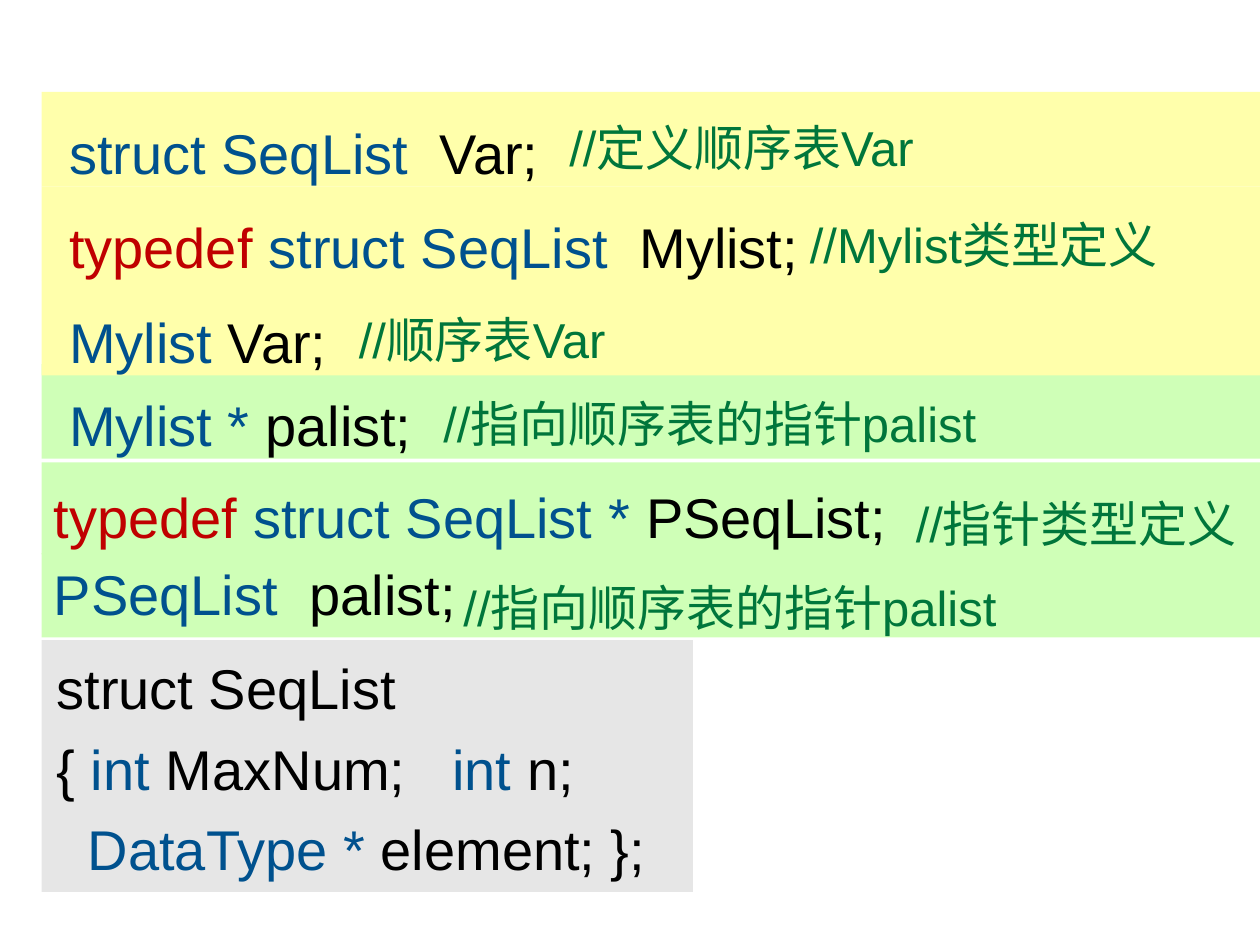
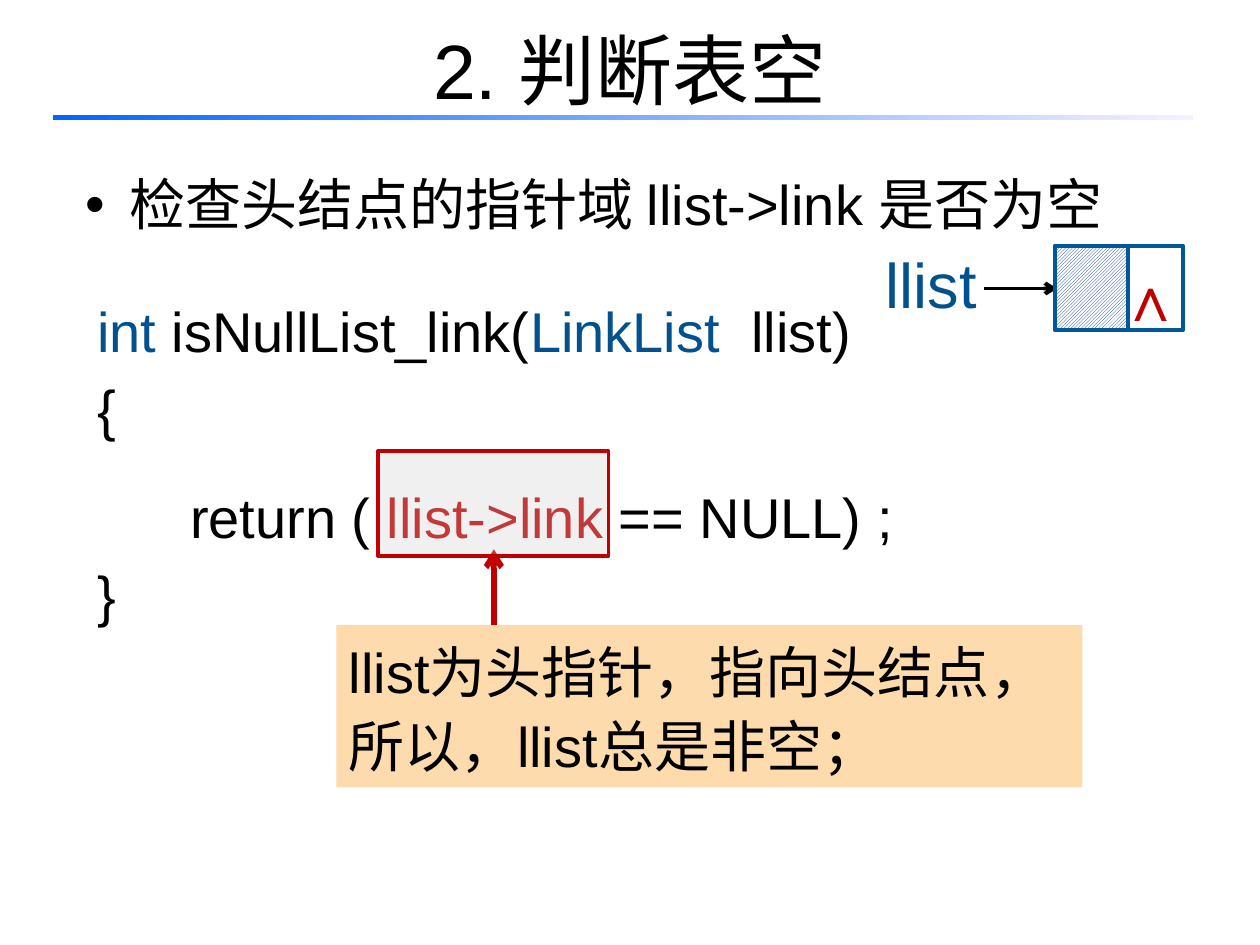
"""Build two slides on sequential list types and the empty check of a linked list."""
from dataclasses import dataclass

from lxml import etree
from pptx import Presentation
from pptx.dml.color import RGBColor
from pptx.enum.dml import MSO_PATTERN
from pptx.enum.shapes import MSO_CONNECTOR, MSO_SHAPE
from pptx.enum.text import MSO_ANCHOR, MSO_AUTO_SIZE, PP_ALIGN
from pptx.oxml.ns import qn
from pptx.util import Inches, Pt

RECTANGLE = MSO_SHAPE.RECTANGLE
STRAIGHT = MSO_CONNECTOR.STRAIGHT
HATCH = MSO_PATTERN.LIGHT_UPWARD_DIAGONAL
TOP, MIDDLE = MSO_ANCHOR.TOP, MSO_ANCHOR.MIDDLE
LEFT, CENTER = PP_ALIGN.LEFT, PP_ALIGN.CENTER
FIXED_SIZE = MSO_AUTO_SIZE.NONE


@dataclass(frozen=True)
class Theme:
    font: str = "Arial"
    title_size: int = 44
    label_size: int = 36
    code_size: int = 32
    comment_size: int = 28
    black: RGBColor = RGBColor.from_string("000000")
    white: RGBColor = RGBColor.from_string("FFFFFF")
    blue: RGBColor = RGBColor.from_string("00518E")
    red: RGBColor = RGBColor.from_string("C00000")
    green: RGBColor = RGBColor.from_string("00763B")
    yellow_band: RGBColor = RGBColor.from_string("FFFFAB")
    green_band: RGBColor = RGBColor.from_string("CFFFB7")
    gray_band: RGBColor = RGBColor.from_string("E6E6E6")
    note: RGBColor = RGBColor.from_string("FEDBAC")
    highlight: RGBColor = RGBColor.from_string("CCCCCC")
    node_line: RGBColor = RGBColor.from_string("00589A")
    hatch: RGBColor = RGBColor.from_string("003399")
    rule_start: RGBColor = RGBColor.from_string("0066FF")
    rule_end: RGBColor = RGBColor.from_string("F7EFFF")


theme = Theme()
black, blue, red = theme.black, theme.blue, theme.red


def write_text(shape, paragraphs, size=theme.code_size, spacing=1.0, before=0, indent=0,
               hanging=0, bullet=None, align=LEFT, anchor=TOP, wrap=True, bold=False,
               margins=(0.1, 0.05, 0.1, 0.05)):
    """Fill a shape with paragraphs, each a list of (text, colour) runs."""
    frame = shape.text_frame
    frame.auto_size = FIXED_SIZE
    frame.word_wrap = wrap
    frame.vertical_anchor = anchor
    (frame.margin_left, frame.margin_top,
     frame.margin_right, frame.margin_bottom) = map(Inches, margins)
    for index, runs in enumerate(paragraphs):
        paragraph = frame.add_paragraph() if index else frame.paragraphs[0]
        properties = paragraph._p.get_or_add_pPr()
        properties.set("marL", str(Inches(indent)))
        properties.set("indent", str(Inches(-hanging)))
        if bullet:
            etree.SubElement(properties, qn("a:buFont")).set("typeface", theme.font)
            etree.SubElement(properties, qn("a:buChar")).set("char", bullet)
        else:
            etree.SubElement(properties, qn("a:buNone"))
        paragraph.alignment = align
        paragraph.line_spacing = spacing
        paragraph.space_before = Pt(before if index else 0)
        for text, color in runs:
            run = paragraph.add_run()
            run.text = text
            run.font.name = theme.font
            run.font.size = Pt(size)
            run.font.bold = bold
            run.font.color.rgb = color


def add_rectangle(slide, place, fill=None, line=None):
    """Add a flat rectangle with an optional fill and outline colour."""
    shape = slide.shapes.add_shape(RECTANGLE, *map(Inches, place))
    shape.shadow.inherit = False
    if fill is None:
        shape.fill.background()
    else:
        shape.fill.solid()
        shape.fill.fore_color.rgb = fill
    if line is None:
        shape.line.fill.background()
    else:
        shape.line.color.rgb = line
        shape.line.width = Pt(2.25)
    return shape


presentation = Presentation()
presentation.slide_width, presentation.slide_height = Inches(10), Inches(7.5)
content_layout, blank_layout = presentation.slide_layouts[1], presentation.slide_layouts[6]

types_slide = presentation.slides.add_slide(blank_layout)
band_left, band_width = 0.33, 9.67
plain = {"indent": 0.12, "spacing": 1.3}
declarations = [
    (0.73, 0.75, theme.yellow_band, plain,
     [("struct SeqList  ", blue), ("Var;", black)]),
    (1.48, 0.75, theme.yellow_band, plain,
     [("typedef ", red), ("struct SeqList  ", blue), ("Mylist;", black)]),
    (2.23, 0.75, theme.yellow_band, plain,
     [("Mylist ", blue), ("Var;", black)]),
    (2.89, 0.75, theme.green_band, plain,
     [("Mylist * ", blue), ("palist;", black)]),
    (3.67, 0.73, theme.green_band, {"spacing": 1.2},
     [("typedef ", red), ("struct SeqList * ", blue), ("PSeqList;", black)]),
    (4.39, 0.67, theme.green_band, {},
     [("PSeqList  ", blue), ("palist;", black)]),
]
for top, height, fill, style, runs in reversed(declarations):
    band = add_rectangle(types_slide, (band_left, top, band_width, height), fill)
    write_text(band, [runs], **style)

comments = [
    (4.42, 0.77, "//定义顺序表Var"),
    (6.33, 1.54, "//Mylist类型定义"),
    (2.75, 2.29, "//顺序表Var"),
    (3.42, 2.96, "//指向顺序表的指针palist"),
    (7.17, 3.75, "//指针类型定义"),
    (3.58, 4.42, "//指向顺序表的指针palist"),
]
for left, top, text in comments:
    comment = types_slide.shapes.add_textbox(
        Inches(left), Inches(top), Inches(10 - left), Inches(0.63))
    write_text(comment, [[(text, theme.green)]], size=theme.comment_size, spacing=1.25,
               margins=(0.1, 0.05, 0, 0.05))

structure = add_rectangle(types_slide, (band_left, 5.08, 5.17, 2), theme.gray_band)
write_text(structure, [
    [("struct SeqList", black)],
    [("{ ", black), ("int ", blue), ("MaxNum;   ", black), ("int ", blue), ("n;", black)],
    [("  ", black), ("DataType * ", blue), ("element; };", black)],
], indent=0.12, spacing=1.2, margins=(0, 0, 0, 0))

empty_slide = presentation.slides.add_slide(content_layout)
title, code = empty_slide.placeholders
for placeholder, place in ((title, (0.5, -0.08, 9, 1.25)), (code, (0.67, 2.3, 7.42, 3.17))):
    (placeholder.left, placeholder.top,
     placeholder.width, placeholder.height) = map(Inches, place)
write_text(title, [[("2. 判断表空", black)]], size=theme.title_size, align=CENTER, anchor=MIDDLE)
write_text(code, [
    [("int ", blue), ("isNullList_link(", black), ("LinkList  ", blue), ("llist)", black)],
    [("{", black)],
    [("      return ( ", black), ("llist->link ", red), ("== NULL) ;", black)],
    [("}", black)],
], before=6.4, indent=0.38, hanging=0.38)
return_line = code.text_frame.paragraphs[2]
return_line.line_spacing, return_line.space_before = 1.6, Pt(0)

note = add_rectangle(empty_slide, (2.67, 4.96, 5.92, 1.29), theme.note)
write_text(note, [[("llist为头指针，指向头结点，", black)],
                  [("所以，llist总是非空；", black)]], spacing=1.1)

title_rule = add_rectangle(empty_slide, (0.42, 0.91, 9.05, 0.04))
title_rule.fill.gradient()
title_rule.fill.gradient_angle = 0
for stop, position, color in zip(title_rule.fill.gradient_stops, (0, 1),
                                 (theme.rule_start, theme.rule_end)):
    stop.position = position
    stop.color.rgb = color

task = empty_slide.shapes.add_textbox(Inches(0.58), Inches(1.3), Inches(8.92), Inches(0.64))
write_text(task, [[("检查头结点的指针域 llist->link 是否为空", black)]],
           bullet="•", indent=0.35, hanging=0.35)

for start_x, start_y, end_x, end_y, color, width in (
        (3.92, 4.96, 3.92, 4.36, red, 3.25), (7.81, 2.29, 8.39, 2.29, black, 2.25)):
    arrow = empty_slide.shapes.add_connector(
        STRAIGHT, *map(Inches, (start_x, start_y, end_x, end_y)))
    arrow.line.color.rgb = color
    arrow.line.width = Pt(width)
    etree.SubElement(arrow.line._get_or_add_ln(), qn("a:tailEnd")).set("type", "arrow")
    etree.SubElement(arrow._element.spPr, qn("a:effectLst"))

highlight = add_rectangle(empty_slide, (3, 3.58, 1.83, 0.83), theme.highlight, red)
highlight_color = highlight._element.spPr.find(qn("a:solidFill"))[0]
etree.SubElement(highlight_color, qn("a:alpha")).set("val", "28000")

add_rectangle(empty_slide, (8.87, 1.95, 0.52, 0.67), line=theme.node_line)
data_cell = add_rectangle(empty_slide, (8.37, 1.95, 0.58, 0.67), line=theme.node_line)
data_cell.fill.patterned()
data_cell.fill.pattern = HATCH
data_cell.fill.fore_color.rgb = theme.hatch
data_cell.fill.back_color.rgb = theme.white

pointer_label = empty_slide.shapes.add_textbox(
    Inches(6.86), Inches(1.95), Inches(1.06), Inches(0.67))
write_text(pointer_label, [[("llist", blue)]], size=theme.label_size, spacing=0.9,
           align=CENTER, anchor=MIDDLE, wrap=False)
null_mark = empty_slide.shapes.add_textbox(
    Inches(8.79), Inches(1.85), Inches(0.71), Inches(0.78))
write_text(null_mark, [[("∧", red)]], size=theme.label_size, spacing=1.25, wrap=False, bold=True)

presentation.save("out.pptx")
